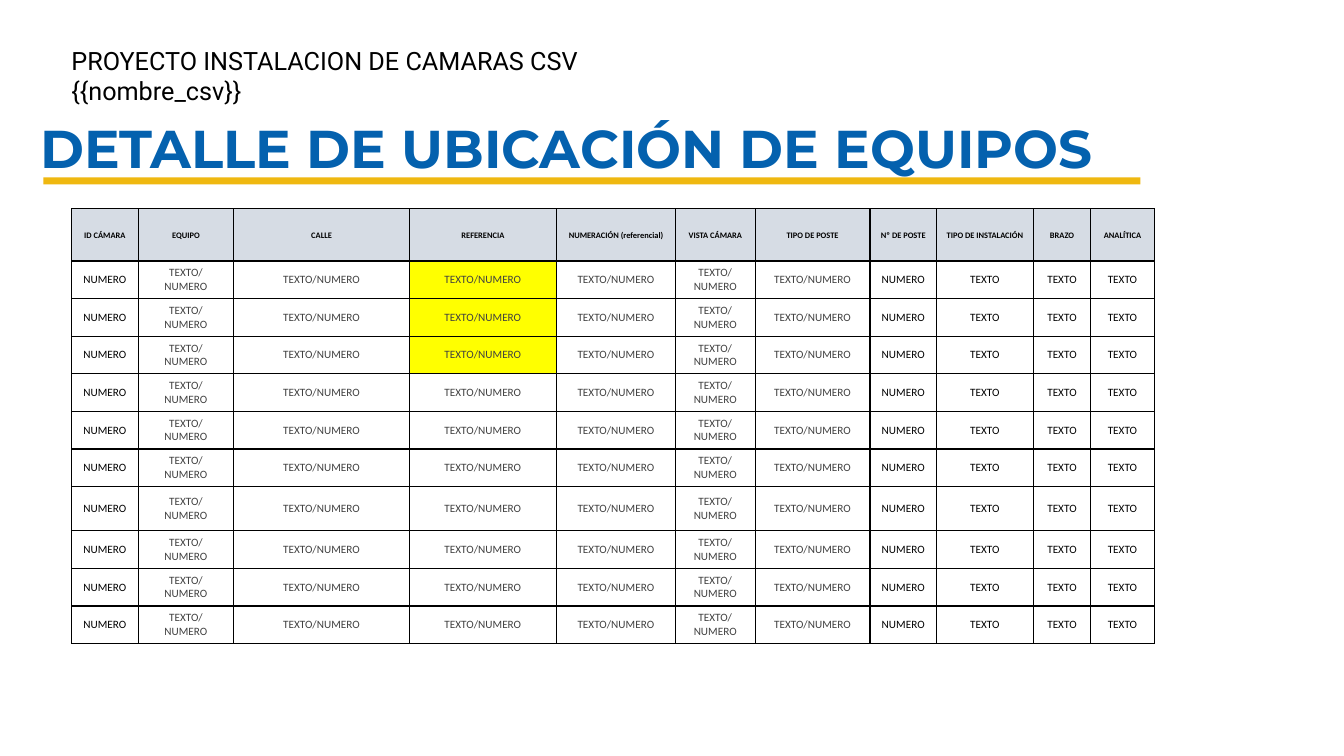
"""Build the slide that details the location of the camera equipment."""
from dataclasses import dataclass

import pptx
import pptx.dml.color
import pptx.enum.shapes
import pptx.enum.text
import pptx.oxml
import pptx.oxml.ns
import pptx.presentation
import pptx.slide
import pptx.table
import pptx.text.text
import pptx.util

Inches = pptx.util.Inches
BLACK, GREY = "000000", "404040"
HEADER_FILL, HIGHLIGHT_FILL = "D6DCE4", "FFFF00"
THIN, THICK = 0.94, 1.25
HEADER_HEIGHT, ROW_HEIGHT, TALL_ROW_HEIGHT = 0.52, 0.37, 0.44
ROW_COUNT, TALL_ROW = 10, 7
HIGHLIGHTED_ROWS = range(1, 4)
REFERENCE_COLUMN = 3


@dataclass(frozen=True)
class TextStyle:
    font: str
    size: float
    color: str
    bold: bool = False


@dataclass(frozen=True)
class Heading:
    text: str
    left: float
    top: float
    width: float
    height: float
    style: TextStyle


@dataclass(frozen=True)
class Column:
    title: str
    width: float
    sample: str
    color: str = BLACK


HEADINGS = [
    Heading("PROYECTO INSTALACION DE CAMARAS CSV {{nombre_csv}}",
            0.61, 0.4, 6.67, 0.34, TextStyle("Roboto", 18, BLACK)),
    Heading("DETALLE DE UBICACIÓN DE EQUIPOS",
            0.3, 1.09, 11.47, 0.74, TextStyle("Montserrat", 38, "0461AE", True)),
]

COLUMNS = [
    Column("ID CÁMARA", 0.66, "NUMERO"),
    Column("EQUIPO", 0.95, "TEXTO/NUMERO", GREY),
    Column("CALLE", 1.74, "TEXTO/NUMERO", GREY),
    Column("REFERENCIA", 1.46, "TEXTO/NUMERO", GREY),
    Column("NUMERACIÓN (referencial)", 1.18, "TEXTO/NUMERO", GREY),
    Column("VISTA CÁMARA", 0.79, "TEXTO/NUMERO", GREY),
    Column("TIPO DE POSTE", 1.14, "TEXTO/NUMERO", GREY),
    Column("Nº DE POSTE", 0.66, "NUMERO"),
    Column("TIPO DE INSTALACIÓN", 0.96, "TEXTO"),
    Column("BRAZO", 0.57, "TEXTO"),
    Column("ANALÍTICA", 0.63, "TEXTO"),
]


def rgb(value: str) -> pptx.dml.color.RGBColor:
    """Turn a hex string into a colour."""
    return pptx.dml.color.RGBColor.from_string(value)


def add_run(paragraph: pptx.text.text._Paragraph, text: str, style: TextStyle) -> None:
    """Add one styled run to a paragraph."""
    run = paragraph.add_run()
    run.text = text
    run.font.name = style.font
    run.font.size = pptx.util.Pt(style.size)
    run.font.bold = style.bold
    run.font.color.rgb = rgb(style.color)


def add_heading(slide: pptx.slide.Slide, heading: Heading) -> None:
    """Add a heading as a wrapping text box."""
    box = slide.shapes.add_textbox(Inches(heading.left), Inches(heading.top),
                                   Inches(heading.width), Inches(heading.height))
    box.text_frame.word_wrap = True
    add_run(box.text_frame.paragraphs[0], heading.text, heading.style)


def add_underline(slide: pptx.slide.Slide) -> None:
    """Add the golden bar under the title."""
    bar = slide.shapes.add_shape(pptx.enum.shapes.MSO_SHAPE.RECTANGLE,
                                 Inches(0.43), Inches(1.76), Inches(10.88), Inches(0.07))
    bar.shadow.inherit = False
    bar.fill.solid()
    bar.fill.fore_color.rgb = rgb("EFB810")
    bar.line.fill.background()


def border_width(row: int, column: int, side: str) -> float:
    """Give the width of a cell edge, thick around the reference header."""
    around_reference = {
        (0, REFERENCE_COLUMN): "LRTB",
        (0, REFERENCE_COLUMN - 1): "R",
        (0, REFERENCE_COLUMN + 1): "L",
        (1, REFERENCE_COLUMN): "T",
    }
    return THICK if side in around_reference.get((row, column), "") else THIN


def set_borders(cell: pptx.table._Cell, row: int, column: int) -> None:
    """Draw the four black edges of a cell."""
    properties = cell._tc.get_or_add_tcPr()
    for side in "LRTB":
        width = pptx.util.Pt(border_width(row, column, side))
        properties.append(pptx.oxml.parse_xml(
            f'<a:ln{side} {pptx.oxml.ns.nsdecls("a")} w="{width}"><a:solidFill>'
            f'<a:srgbClr val="{BLACK}"/></a:solidFill></a:ln{side}>'))


def fill_cell(cell: pptx.table._Cell, row: int, column: int) -> None:
    """Write and format one cell of the equipment table."""
    field = COLUMNS[column]
    cell.vertical_anchor = pptx.enum.text.MSO_ANCHOR.MIDDLE
    set_borders(cell, row, column)
    fill = None
    if row == 0:
        text, style, spacing = field.title, TextStyle("Calibri", 6, BLACK, True), 8.2
        fill = HEADER_FILL
    else:
        text, style, spacing = field.sample, TextStyle("Calibri", 8, field.color), 9.8
        if column == REFERENCE_COLUMN and row in HIGHLIGHTED_ROWS:
            fill = HIGHLIGHT_FILL
    if fill:
        cell.fill.solid()
        cell.fill.fore_color.rgb = rgb(fill)
    else:
        cell.fill.background()
    paragraph = cell.text_frame.paragraphs[0]
    paragraph.alignment = pptx.enum.text.PP_ALIGN.CENTER
    paragraph.line_spacing = pptx.util.Pt(spacing)
    add_run(paragraph, text, style)


def add_equipment_table(slide: pptx.slide.Slide) -> None:
    """Add the table with one header row and the equipment rows."""
    heights = [HEADER_HEIGHT] + [
        TALL_ROW_HEIGHT if row == TALL_ROW else ROW_HEIGHT for row in range(1, ROW_COUNT + 1)]
    equipment = slide.shapes.add_table(
        len(heights), len(COLUMNS), Inches(0.71), Inches(2.07),
        Inches(sum(field.width for field in COLUMNS)), Inches(sum(heights))).table
    equipment.first_row = False
    equipment.horz_banding = False
    for column, field in enumerate(COLUMNS):
        equipment.columns[column].width = Inches(field.width)
    for row, height in enumerate(heights):
        equipment.rows[row].height = Inches(height)
        for column in range(len(COLUMNS)):
            fill_cell(equipment.cell(row, column), row, column)


def main() -> None:
    """Build and save the presentation."""
    presentation = pptx.Presentation()
    presentation.slide_width = Inches(13.33)
    presentation.slide_height = Inches(7.5)
    slide = presentation.slides.add_slide(presentation.slide_layouts[6])
    for heading in HEADINGS:
        add_heading(slide, heading)
    add_underline(slide)
    add_equipment_table(slide)
    presentation.save("out.pptx")


if __name__ == "__main__":
    main()
